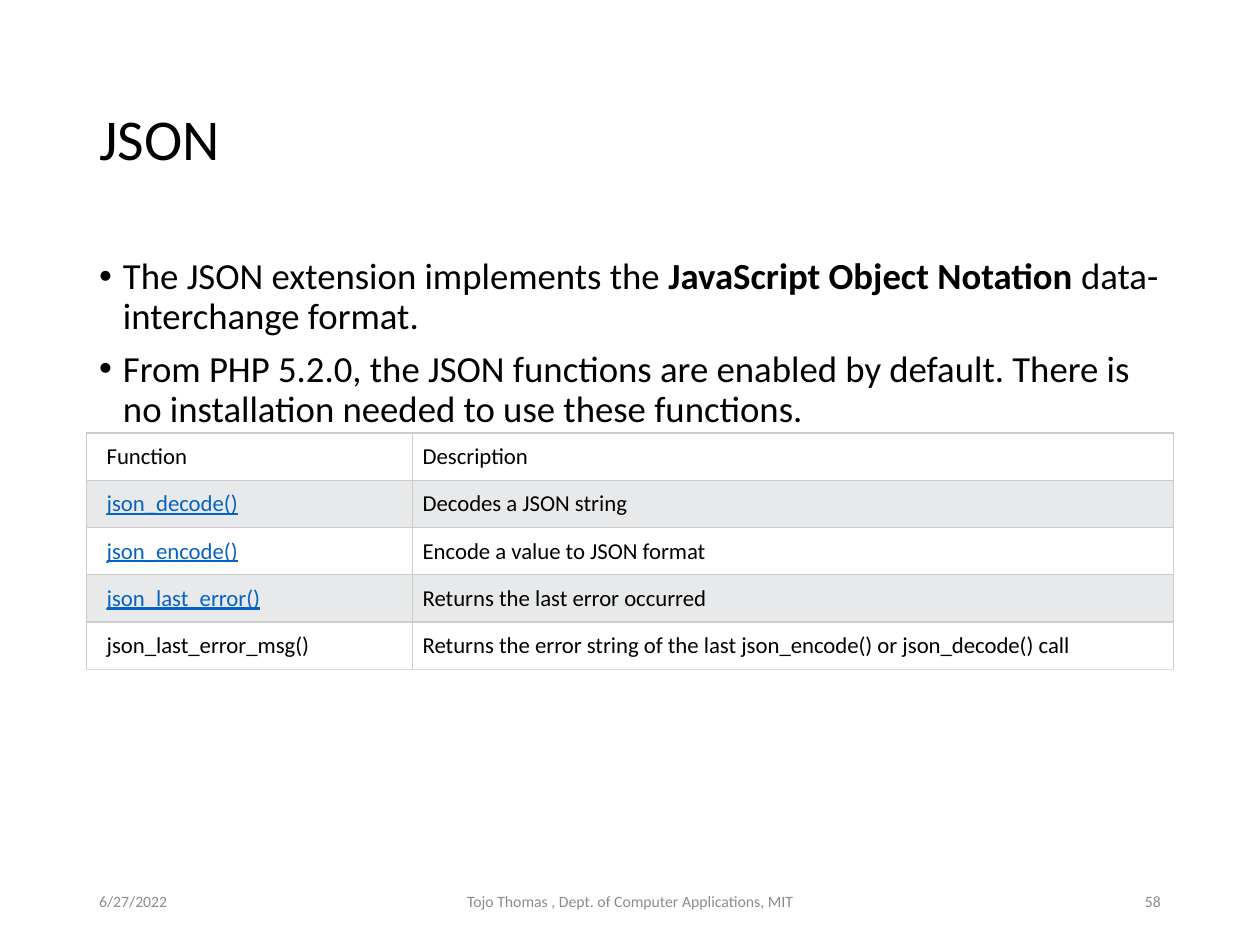
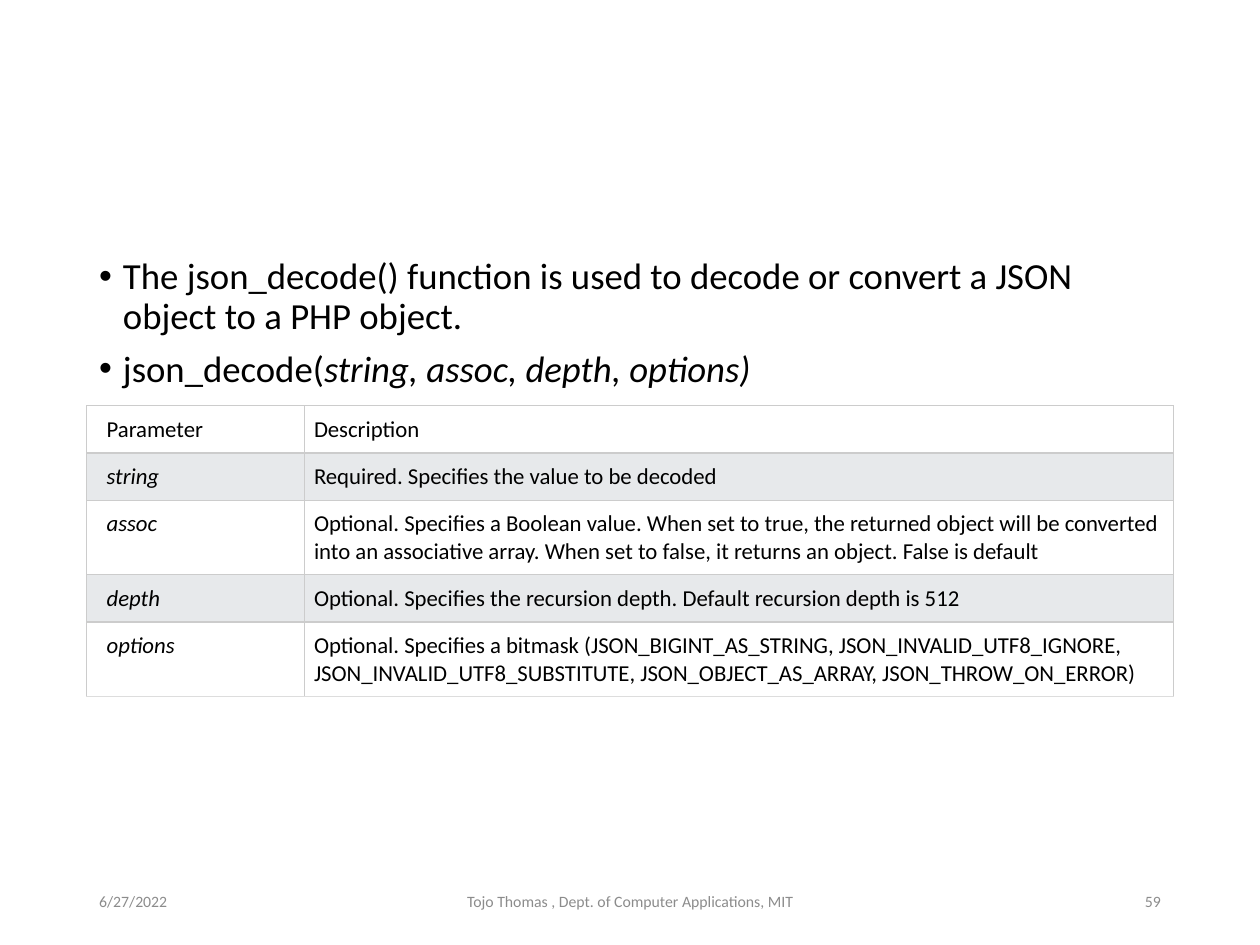
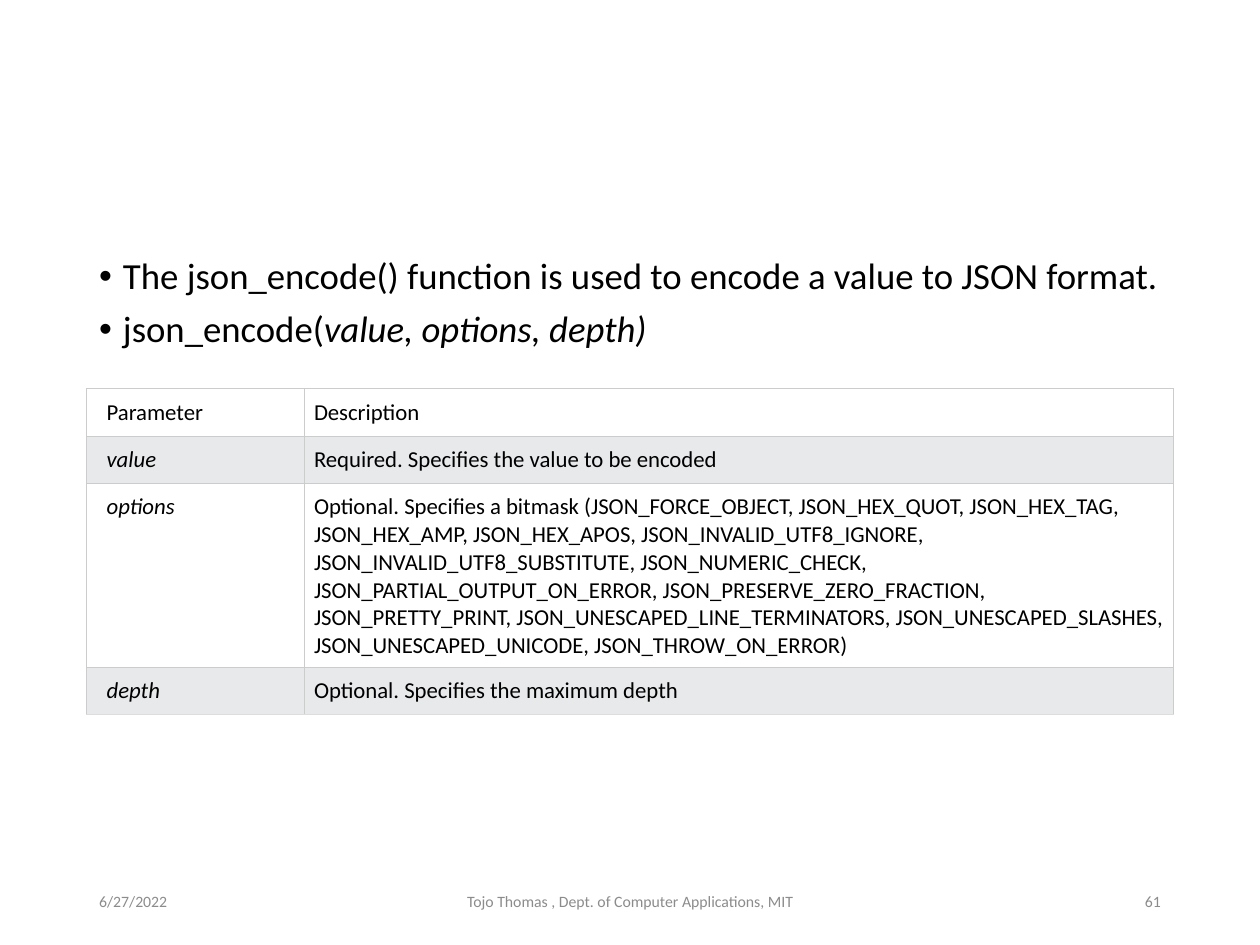
from lxml import etree
from pptx import Presentation, util as u
from pptx.dml.color import RGBColor
from pptx.enum import text
from pptx.oxml import ns

FONT = "Calibri"
BLACK, GREY, LINK = "000000", "8C8C8C", "0563C1"
WHITE, STRIPE = "FFFFFF", "E7E9EB"
BORDER, LAST_BORDER = "CCCCCC", "DDDDDD"
LEFT, WIDTH = 1.75, 21.9
ALIGN = text.PP_ALIGN
MIDDLE = text.MSO_ANCHOR.MIDDLE


def format_span(span, size, color=BLACK, style=""):
    span.font.name = FONT
    span.font.size = u.Pt(size)
    span.font.color.rgb = RGBColor.from_string(color)
    span.font.bold = style == "bold"
    span.font.italic = style == "italic"
    span.font.underline = style == "link"


def add_border(cell, side, color):
    props = cell._tc.get_or_add_tcPr()
    line = etree.SubElement(props, ns.qn("a:ln" + side), w=str(u.Pt(0.75)))
    fill = etree.SubElement(line, ns.qn("a:solidFill"))
    etree.SubElement(fill, ns.qn("a:srgbClr"), val=color)


pages = [
    {
        "title": "JSON",
        "number": "58",
        "bullets": [
            [("The JSON extension implements the ", ""),
             ("JavaScript Object Notation ", "bold"),
             ("data-interchange format.", "")],
            [("From PHP 5.2.0, the JSON functions are enabled by default. There is no "
              "installation needed to use these functions.", "")],
        ],
        "table_top": 8.73,
        "first_column": 0.3,
        "rows": [
            ("Function", "", "Description"),
            ("json_decode()", "link", "Decodes a JSON string"),
            ("json_encode()", "link", "Encode a value to JSON format"),
            ("json_last_error()", "link", "Returns the last error occurred"),
            ("json_last_error_msg()", "",
             "Returns the error string of the last json_encode() or json_decode() call"),
        ],
    },
    {
        "title": None,
        "number": "59",
        "bullets": [
            [("The json_decode() function is used to decode or convert a JSON object "
              "to a PHP object.", "")],
            [("json_decode(", ""), ("string, assoc, depth, options)", "italic")],
        ],
        "table_top": 8.18,
        "first_column": 0.2,
        "rows": [
            ("Parameter", "", "Description"),
            ("string", "italic", "Required. Specifies the value to be decoded"),
            ("assoc", "italic",
             "Optional. Specifies a Boolean value. When set to true, the returned object "
             "will be converted into an associative array. When set to false, it returns "
             "an object. False is default"),
            ("depth", "italic",
             "Optional. Specifies the recursion depth. Default recursion depth is 512"),
            ("options", "italic",
             "Optional. Specifies a bitmask (JSON_BIGINT_AS_STRING, "
             "JSON_INVALID_UTF8_IGNORE, JSON_INVALID_UTF8_SUBSTITUTE, "
             "JSON_OBJECT_AS_ARRAY, JSON_THROW_ON_ERROR)"),
        ],
    },
    {
        "title": None,
        "number": "61",
        "bullets": [
            [("The json_encode() function is used to encode a value to JSON format.", "")],
            [("json_encode(", ""), ("value, options, depth)", "italic")],
        ],
        "table_top": 7.84,
        "first_column": 0.2,
        "rows": [
            ("Parameter", "", "Description"),
            ("value", "italic", "Required. Specifies the value to be encoded"),
            ("options", "italic",
             "Optional. Specifies a bitmask (JSON_FORCE_OBJECT, JSON_HEX_QUOT, "
             "JSON_HEX_TAG, JSON_HEX_AMP, JSON_HEX_APOS, JSON_INVALID_UTF8_IGNORE, "
             "JSON_INVALID_UTF8_SUBSTITUTE, JSON_NUMERIC_CHECK, "
             "JSON_PARTIAL_OUTPUT_ON_ERROR, JSON_PRESERVE_ZERO_FRACTION, "
             "JSON_PRETTY_PRINT, JSON_UNESCAPED_LINE_TERMINATORS, "
             "JSON_UNESCAPED_SLASHES, JSON_UNESCAPED_UNICODE, JSON_THROW_ON_ERROR)"),
            ("depth", "italic", "Optional. Specifies the maximum depth"),
        ],
    },
]

deck = Presentation()
deck.slide_width, deck.slide_height = u.Cm(25.4), u.Cm(19.05)
TITLE_ONLY, BLANK = deck.slide_layouts[5], deck.slide_layouts[6]

for content in pages:
    page = deck.slides.add_slide(TITLE_ONLY if content["title"] else BLANK)

    if content["title"]:
        title = page.shapes.title
        title.left, title.top = u.Cm(LEFT), u.Cm(1.02)
        title.width, title.height = u.Cm(WIDTH), u.Cm(3.68)
        title.text_frame.text = content["title"]
        title.text_frame.vertical_anchor = MIDDLE
        para = title.text_frame.paragraphs[0]
        para.alignment = ALIGN.LEFT
        para.line_spacing = 0.9
        format_span(para.runs[0], 33)

    body = page.shapes.add_textbox(u.Cm(LEFT), u.Cm(5.08), u.Cm(WIDTH), u.Cm(12.09))
    frame = body.text_frame
    frame.word_wrap = True
    for index, bullet in enumerate(content["bullets"]):
        para = frame.add_paragraph() if index else frame.paragraphs[0]
        para.line_spacing = 0.9
        para.space_before = u.Pt(7.5)
        props = para._p.get_or_add_pPr()
        props.set("marL", str(u.Cm(0.48)))
        props.set("indent", str(u.Cm(-0.48)))
        etree.SubElement(props, ns.qn("a:buFont"), typeface="Arial")
        etree.SubElement(props, ns.qn("a:buChar"), char="•")
        for words, style in bullet:
            span = para.add_run()
            span.text = words
            format_span(span, 21, style=style)

    footers = [
        (LEFT, 5.72, ALIGN.LEFT, "6/27/2022"),
        (8.41, 8.58, ALIGN.CENTER, "Tojo Thomas , Dept. of Computer Applications, MIT"),
        (17.93, 5.72, ALIGN.RIGHT, content["number"]),
    ]
    for left, width, alignment, words in footers:
        box = page.shapes.add_textbox(u.Cm(left), u.Cm(17.65), u.Cm(width), u.Cm(1.02))
        box.text_frame.word_wrap = True
        box.text_frame.vertical_anchor = MIDDLE
        box.text_frame.text = words
        para = box.text_frame.paragraphs[0]
        para.alignment = alignment
        format_span(para.runs[0], 9, GREY)

    rows = content["rows"]
    table = page.shapes.add_table(
        len(rows), 2, u.Cm(LEFT), u.Cm(content["table_top"]),
        u.Cm(WIDTH), u.Cm(0.95 * len(rows))).table
    table.first_row = table.horz_banding = False
    table.columns[0].width = u.Cm(WIDTH * content["first_column"])
    table.columns[1].width = u.Cm(WIDTH * (1 - content["first_column"]))
    for row, (name, name_style, description) in enumerate(rows):
        for column, (words, style) in enumerate([(name, name_style), (description, "")]):
            cell = table.cell(row, column)
            cell.margin_left = u.Cm(0.2 if column else 0.4)
            cell.margin_right = cell.margin_top = cell.margin_bottom = u.Cm(0.2)
            for side in "LRTB":
                last = side == "B" and row == len(rows) - 1
                add_border(cell, side, LAST_BORDER if last else BORDER)
            cell.fill.solid()
            cell.fill.fore_color.rgb = RGBColor.from_string(STRIPE if row % 2 else WHITE)
            cell.text_frame.text = words
            span = cell.text_frame.paragraphs[0].runs[0]
            format_span(span, 13, LINK if style == "link" else BLACK, style)

deck.save("out.pptx")
